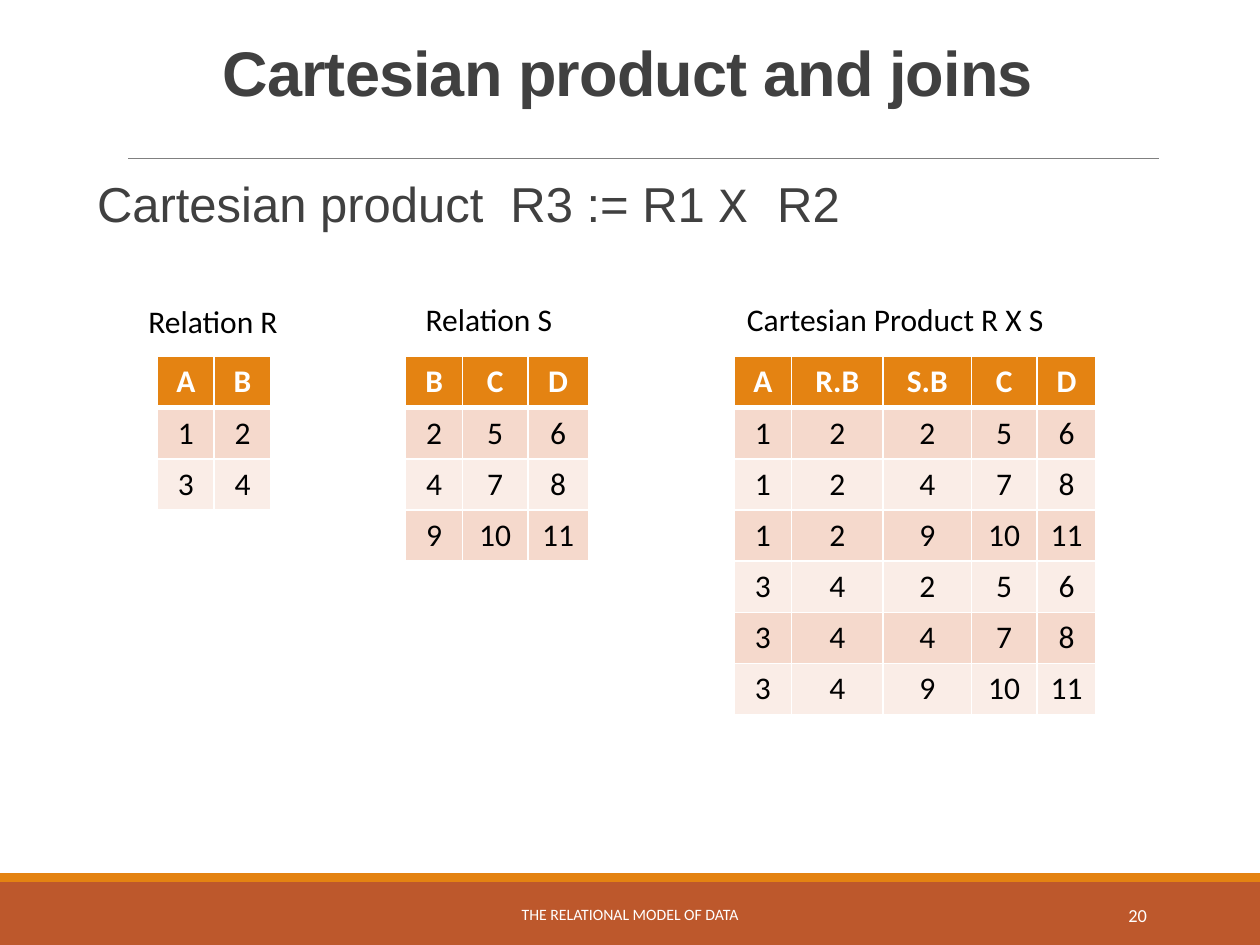
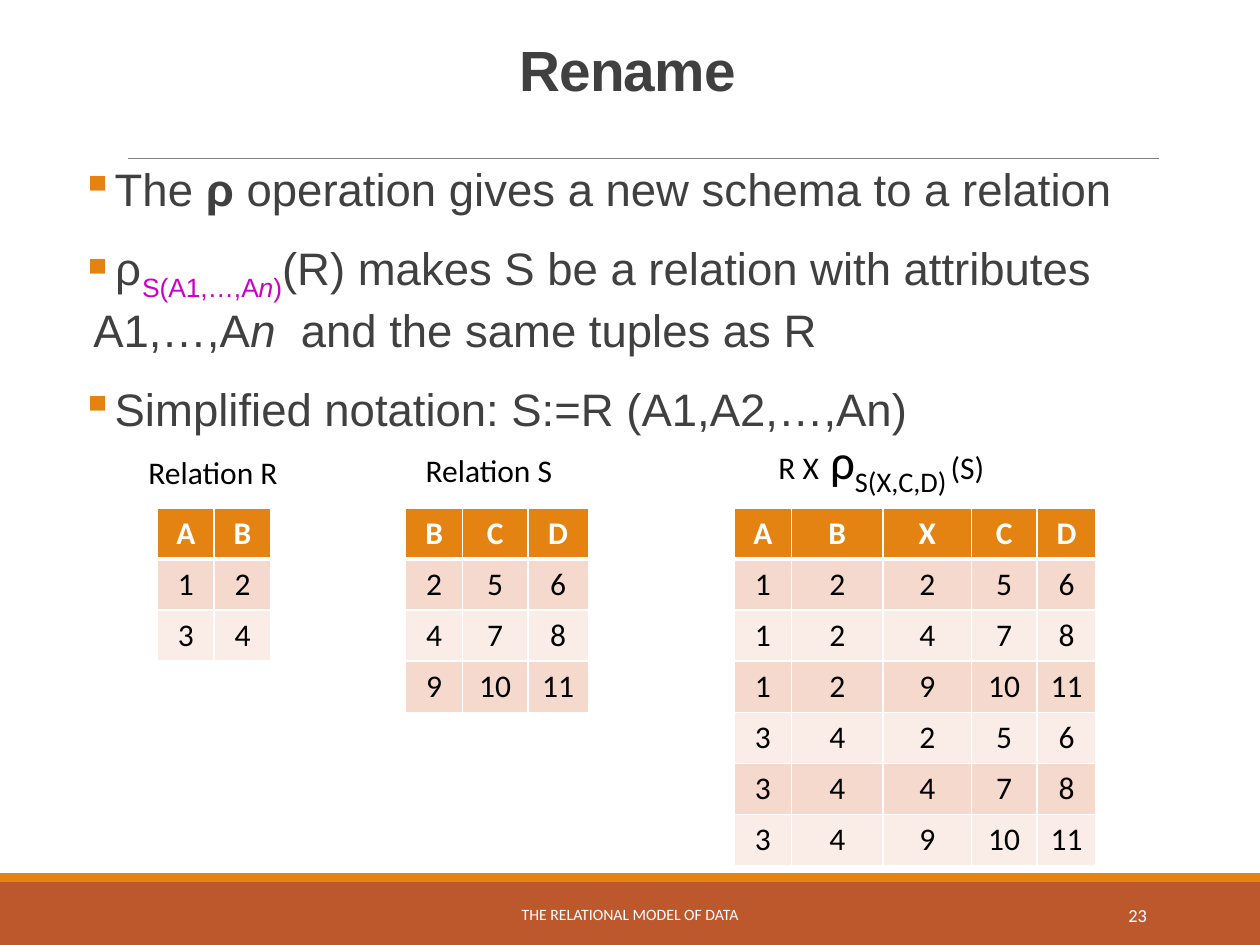
import itertools

import pptx
import pptx.dml.color
import pptx.enum.shapes
import pptx.enum.text
import pptx.oxml
import pptx.oxml.ns
import pptx.util
from pptx.util import Inches, Pt

ALIGN = pptx.enum.text.PP_ALIGN
ANCHOR = pptx.enum.text.MSO_ANCHOR
RECT = pptx.enum.shapes.MSO_SHAPE.RECTANGLE
LINE = pptx.enum.shapes.MSO_CONNECTOR.STRAIGHT

ORANGE, RUST, GREY, INK = "E48312", "BD582C", "808080", "404040"
WHITE, BLACK, PINK = "FFFFFF", "000000", "CC00CC"
BANDS = ("F5D9CC", "FAEDE7")

FOOTER = "THE RELATIONAL MODEL OF DATA"
ROW = 0.406

TITLE = dict(name="Arial", bold=True, color=INK, spc=-50)
BODY = dict(name="Arial", color=INK)
BIG = dict(BODY, size=Pt(28))
MID = dict(BODY, size=Pt(26))
SUB = dict(MID, color=PINK, baseline=-25000)
LABEL = dict(name="Calibri", size=Pt(18), color=BLACK)
HEAD = dict(LABEL, bold=True, color=WHITE)
RHO = dict(LABEL, size=Pt(28))
LOW = dict(RHO, baseline=-25000)
FOOT = dict(name="Calibri", size=Pt(9), color=WHITE)
PAGE = dict(FOOT, size=Pt(10.5))

R = [(1, 2), (3, 4)]
S = [(2, 5, 6), (4, 7, 8), (9, 10, 11)]
CROSS = [r + s for r, s in itertools.product(R, S)]

# Each table: left edge, column widths, rows
TABLE_R = (1.25, (0.45, 0.45), [("A", "B")] + R)
TABLE_S = (3.22, (0.45, 0.52, 0.48), [("B", "C", "D")] + S)
WIDE = (0.45, 0.73, 0.7, 0.52, 0.47)

SLIDES = [
    dict(
        title="Cartesian product and joins", size=36, page="20", top=2.83,
        box=(0.67, 1.42, 8.68, 0.52), bullet=None, spacing=0.8,
        body=[[("Cartesian product  R3 := R1 ", BIG),
               ("Χ ", dict(BIG, name="Courier New")), ("R2", BIG)]],
        heads=("A", "R.B", "S.B", "C", "D"),
        label=(5.83, -0.5, 2.89, 0.4),
        text=[("Cartesian Product R X S", LABEL)],
    ),
    dict(
        title="Rename", size=32.4, page="23", top=4.03,
        box=(0.64, 1.23, 8.68, 2.32), bullet="▪", spacing=1.0,
        body=[
            [("The ", MID), ("ρ", dict(MID, bold=True)),
             (" operation gives a new schema to a relation", MID)],
            [("ρ", dict(MID, name="Courier New")), ("S(A1,…,A", SUB),
             ("n", dict(SUB, italic=True)), (")", SUB),
             ("(R) makes S be a relation with attributes A1,…,A", MID),
             ("n", dict(MID, italic=True)),
             ("  and the same tuples as R", MID)],
            [("Simplified notation: S:=R (A1,A2,…,An)", MID)],
        ],
        heads=("A", "B", "X", "C", "D"),
        label=(6.08, -0.66, 2.34, 0.57),
        text=[("R X", LABEL), (" ρ", RHO), ("S(X,C,D)", LOW),
              (" ", dict(LOW, size=Pt(18))), ("(S)", LABEL)],
    ),
]


def rgb(code):
    return pptx.dml.color.RGBColor.from_string(code)


def node(parent, tag, **attrs):
    item = pptx.oxml.parse_xml(f"<a:{tag} {pptx.oxml.ns.nsdecls('a')}/>")
    for key, val in attrs.items():
        item.set(key, str(val))
    parent.append(item)
    return item


def write(para, runs):
    """Add (text, format) runs to a paragraph."""
    for text, form in runs:
        run = para.add_run()
        run.text = text
        for key, val in form.items():
            if key == "color":
                run.font.color.rgb = rgb(val)
            elif key in ("spc", "baseline"):
                run._r.get_or_add_rPr().set(key, str(val))
            else:
                setattr(run.font, key, val)


def add_text(slide, box, paras, wrap=True, anchor=ANCHOR.TOP, **form):
    """Add a text box; form holds paragraph settings."""
    frame = slide.shapes.add_textbox(*map(Inches, box)).text_frame
    frame.word_wrap = wrap
    frame.vertical_anchor = anchor
    for i, runs in enumerate(paras):
        para = frame.paragraphs[0] if i == 0 else frame.add_paragraph()
        for key, val in form.items():
            setattr(para, key, val)
        write(para, runs)
    return frame


def add_body(slide, data):
    frame = add_text(slide, data["box"], data["body"],
                     line_spacing=data["spacing"], space_after=Pt(2))
    frame.margin_left = frame.margin_right = 0
    for i, para in enumerate(frame.paragraphs):
        if i:
            para.space_before = Pt(12)
        props = para._p.get_or_add_pPr()
        props.set("marL", str(Inches(0.1)))
        if data["bullet"]:
            props.set("indent", str(-Inches(0.1)))
            node(node(props, "buClr"), "srgbClr", val=ORANGE)
            node(props, "buChar", char=data["bullet"])


def edge(cell, side, width):
    line = node(cell._tc.get_or_add_tcPr(), "ln" + side, w=Pt(width))
    node(node(line, "solidFill"), "srgbClr", val=WHITE)


def add_grid(slide, left, top, widths, rows):
    size = (sum(widths), ROW * len(rows))
    grid = slide.shapes.add_table(len(rows), len(widths),
                                  *map(Inches, (left, top, *size))).table
    grid.horz_banding = False
    for col, width in zip(grid.columns, widths):
        col.width = Inches(width)
    for i, row in enumerate(rows):
        grid.rows[i].height = Inches(ROW)
        for j, val in enumerate(row):
            cell = grid.cell(i, j)
            for side in "LRTB":
                thick = (i, side) in ((0, "B"), (1, "T"))
                edge(cell, side, 3 if thick else 1)
            cell.fill.solid()
            cell.fill.fore_color.rgb = rgb(BANDS[(i - 1) % 2] if i else ORANGE)
            para = cell.text_frame.paragraphs[0]
            para.alignment = ALIGN.CENTER
            write(para, [(str(val), LABEL if i else HEAD)])


def add_frame(slide, data):
    """Draw the bands, rule, title and footer."""
    for top, height, color in ((7, 0.5, RUST), (6.93, 0.07, ORANGE)):
        band = slide.shapes.add_shape(RECT, *map(Inches, (0, top, 10, height)))
        band.shadow.inherit = False
        band.fill.solid()
        band.fill.fore_color.rgb = rgb(color)
        band.line.fill.background()
    rule = slide.shapes.add_connector(LINE, *map(Inches, (1.02, 1.26, 9.2, 1.26)))
    rule.line.color.rgb = rgb(GREY)
    rule.line.width = Pt(0.5)
    node(rule._element.spPr, "effectLst")
    add_text(slide, (0.64, 0.31, 8.68, 0.92),
             [[(data["title"], dict(TITLE, size=Pt(data["size"])))]],
             alignment=ALIGN.CENTER, line_spacing=0.85)
    add_text(slide, (3.02, 7.06, 3.96, 0.4), [[(FOOTER, FOOT)]],
             anchor=ANCHOR.MIDDLE, alignment=ALIGN.CENTER)
    add_text(slide, (8.12, 7.06, 1.08, 0.4), [[(data["page"], PAGE)]],
             anchor=ANCHOR.MIDDLE, alignment=ALIGN.RIGHT)


def main():
    deck = pptx.Presentation()
    deck.slide_width, deck.slide_height = Inches(10), Inches(7.5)
    for data in SLIDES:
        slide = deck.slides.add_slide(deck.slide_layouts[6])
        add_frame(slide, data)
        add_body(slide, data)
        top = data["top"]
        cross = (5.83, WIDE, [data["heads"]] + CROSS)
        for left, widths, rows in (TABLE_R, TABLE_S, cross):
            add_grid(slide, left, top, widths, rows)
        labels = (
            ((1.08, -0.48, 1.39, 0.4), [("Relation R", LABEL)]),
            ((3.28, -0.5, 1.35, 0.4), [("Relation S", LABEL)]),
            (data["label"], data["text"]),
        )
        for (left, rise, width, height), runs in labels:
            add_text(slide, (left, top + rise, width, height), [runs], wrap=False)
    deck.save("out.pptx")


if __name__ == "__main__":
    main()
